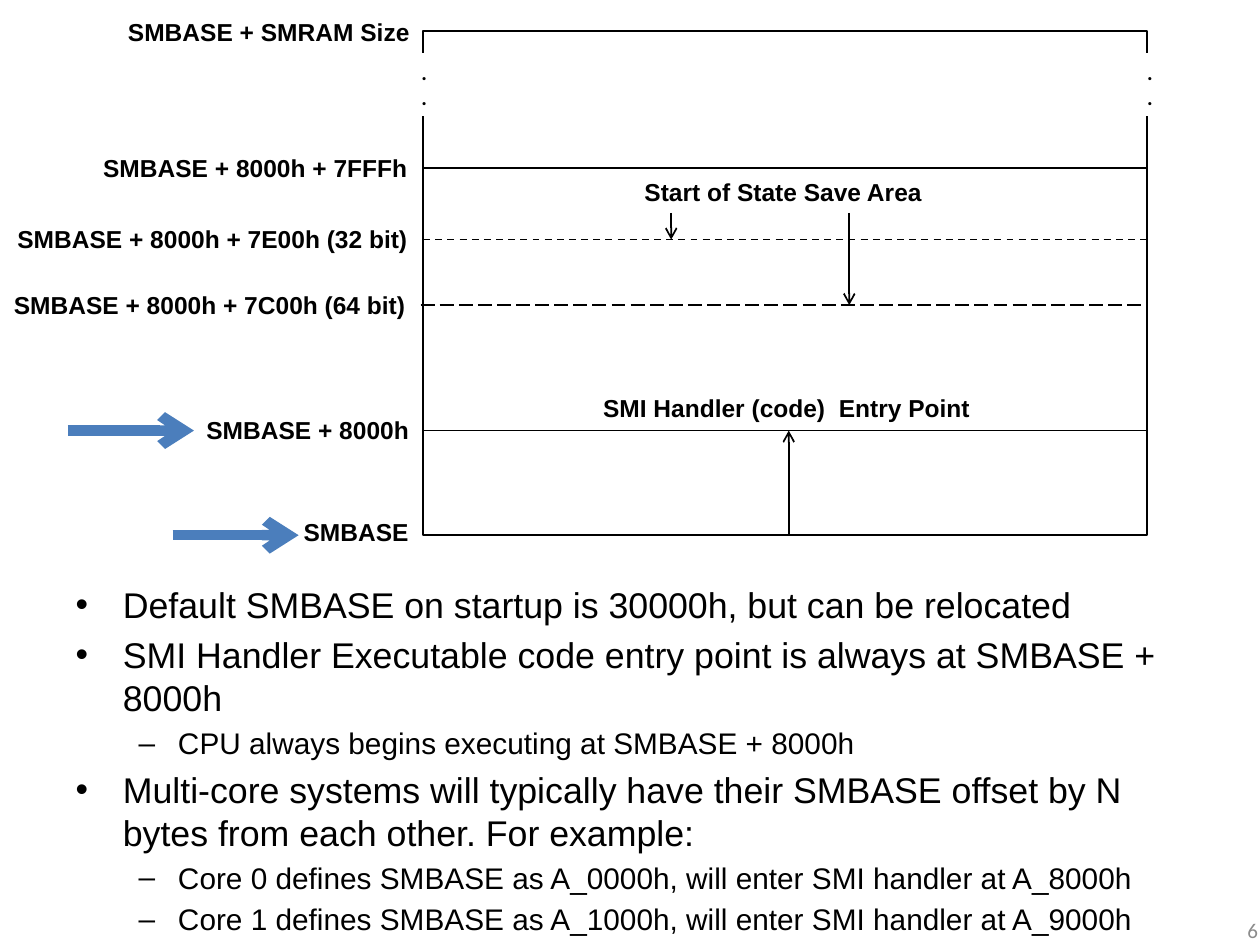
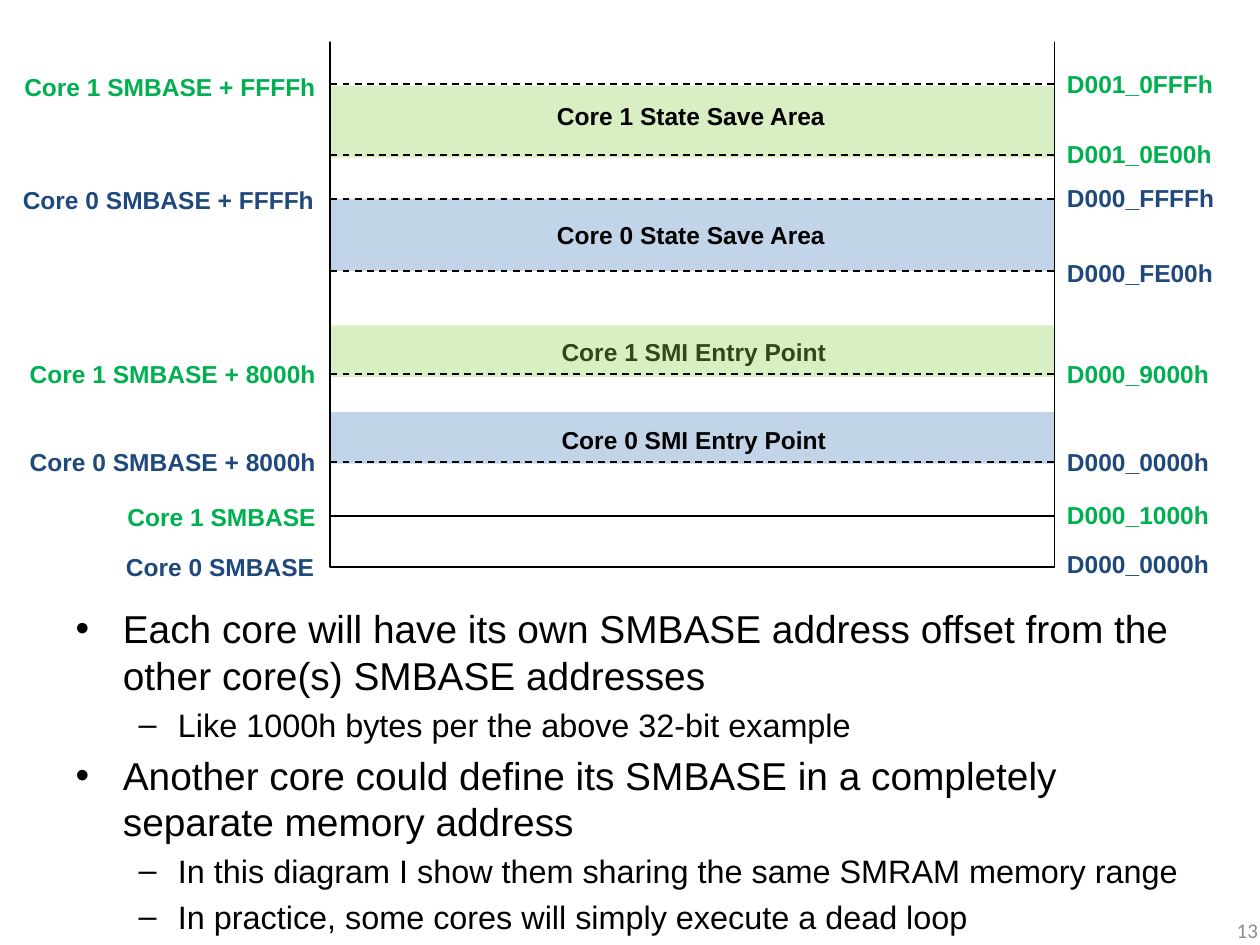
from typing import NamedTuple

from lxml.etree import SubElement
from pptx import Presentation
from pptx.dml.color import RGBColor
from pptx.enum.dml import MSO_LINE_DASH_STYLE as Dash
from pptx.enum.shapes import MSO_CONNECTOR as Connector, MSO_SHAPE as Shape
from pptx.enum.text import MSO_ANCHOR as Anchor, MSO_AUTO_SIZE as AutoSize, PP_ALIGN as Align
from pptx.oxml.ns import qn
from pptx.util import Cm, Pt

COLORS = {
    "ink": "000000", "paper": "FFFFFF", "page": "8C8C8C", "pointer": "4B7EBC",
    "core 0": "1F497D", "core 1": "00B050",
    "core 0 band": "4F81BD", "core 1 band": "92D050",
}
MAP_W = 14.6
CAPTION_W = 14.66
LABEL_H = 0.86


class Box(NamedTuple):
    x: float
    y: float
    w: float
    h: float


class Label(NamedTuple):
    text: str
    x: float
    y: float
    w: float
    color: str = "ink"


class Caption(NamedTuple):
    text: str
    x: float
    y: float


class Line(NamedTuple):
    x1: float
    y1: float
    x2: float
    y2: float
    dash: Dash | None = None
    arrow: bool = False
    color: str = "ink"
    width: float = 1


class Band(NamedTuple):
    y: float
    h: float
    color: str


class Bullet(NamedTuple):
    text: str
    level: int = 0


def rgb(name: str) -> RGBColor:
    return RGBColor.from_string(COLORS[name])


def cm_box(box: Box) -> list[Cm]:
    return [Cm(v) for v in box]


def add_run(p, text: str, size: float, color: str = "ink", bold: bool = False,
            font: str = "Arial") -> None:
    r = p.add_run()
    r.text = text
    r.font.name, r.font.size, r.font.bold = font, Pt(size), bold
    r.font.color.rgb = rgb(color)


def add_text(s, text: str, box: Box, align: Align, wrap: bool, color: str = "ink") -> None:
    tf = s.shapes.add_textbox(*cm_box(box)).text_frame
    tf.word_wrap = wrap
    p = tf.paragraphs[0]
    p.alignment = align
    add_run(p, text, 14, color, bold=True)


def add_label(s, label: Label) -> None:
    box = Box(label.x, label.y, label.w, LABEL_H)
    add_text(s, label.text, box, Align.LEFT, False, label.color)


def add_caption(s, caption: Caption) -> None:
    box = Box(caption.x, caption.y, CAPTION_W, LABEL_H)
    add_text(s, caption.text, box, Align.CENTER, True)


def add_rect(s, box: Box, fill: str | None = None, alpha: int = 100, outline: bool = False):
    sp = s.shapes.add_shape(Shape.RECTANGLE, *cm_box(box))
    sp.shadow.inherit = False
    if fill:
        sp.fill.solid()
        sp.fill.fore_color.rgb = rgb(fill)
        if alpha < 100:
            srgb = sp.fill._xPr.find(f".//{qn('a:srgbClr')}")
            SubElement(srgb, qn("a:alpha"), val=str(alpha * 1000))
    else:
        sp.fill.background()
    if outline:
        sp.line.color.rgb = rgb("ink")
        sp.line.width = Pt(1)
    else:
        sp.line.fill.background()
    return sp


def add_line(s, line: Line) -> None:
    ends = [Cm(v) for v in line[:4]]
    cxn = s.shapes.add_connector(Connector.STRAIGHT, *ends)
    cxn.line.color.rgb = rgb(line.color)
    cxn.line.width = Pt(line.width)
    if line.dash:
        cxn.line.dash_style = line.dash
    if line.arrow:
        SubElement(cxn.line._get_or_add_ln(), qn("a:tailEnd"), type="arrow")
    SubElement(cxn._element.spPr, qn("a:effectLst"))


def add_gap_dots(s, x: float) -> None:
    """Break a side of the memory map with two stacked dots."""
    tf = add_rect(s, Box(x, 1.07, 0.64, 1.27), "paper").text_frame
    tf.word_wrap = False
    for p in (tf.paragraphs[0], tf.add_paragraph()):
        p.alignment = Align.CENTER
        add_run(p, ".", 12, bold=True, font="Calibri")


def add_body(s, box: Box, size: float, sub_size: float, bullets: list[Bullet]) -> None:
    body = s.placeholders[1]
    body.left, body.top, body.width, body.height = cm_box(box)
    tf = body.text_frame
    tf.auto_size = AutoSize.NONE
    for i, bullet in enumerate(bullets):
        p = tf.add_paragraph() if i else tf.paragraphs[0]
        p.level = bullet.level
        add_run(p, bullet.text, sub_size if bullet.level else size)


def add_page_number(s, number: int) -> None:
    tf = s.shapes.add_textbox(*cm_box(Box(19.69, 18.24, 5.92, 1.02))).text_frame
    tf.word_wrap = True
    tf.vertical_anchor = Anchor.MIDDLE
    p = tf.paragraphs[0]
    p.alignment = Align.RIGHT
    add_run(p, str(number), 12, "page", font="Calibri")


def new_slide(prs):
    s = prs.slides.add_slide(prs.slide_layouts[1])
    title = s.shapes.title._element
    title.getparent().remove(title)
    return s


def build_smram_layout(prs) -> None:
    s = new_slide(prs)
    left, top, bottom, entry = 8.53, 0.63, 10.79, 8.68
    save_32, save_64, arrow_top = 4.83, 6.15, 4.29
    right = left + MAP_W
    add_body(s, Box(1.27, 11.63, 22.86, 7.42), 20.4, 17, [
        Bullet("Default SMBASE on startup is 30000h, but can be relocated"),
        Bullet("SMI Handler Executable code entry point is always at SMBASE + 8000h"),
        Bullet("CPU always begins executing at SMBASE + 8000h", 1),
        Bullet("Multi-core systems will typically have their SMBASE offset by N bytes "
               "from each other. For example:"),
        Bullet("Core 0 defines SMBASE as A_0000h, will enter SMI handler at A_8000h", 1),
        Bullet("Core 1 defines SMBASE as A_1000h, will enter SMI handler at A_9000h", 1),
    ])
    add_rect(s, Box(left, top, MAP_W, bottom - top), outline=True)
    for x in (8.23, 22.86):
        add_gap_dots(s, x)
    for line in (
        Line(left, entry, right, entry),
        Line(left, 3.38, right, 3.38),
        Line(left, save_32, right, save_32, Dash.DASH),
        Line(left - 0.05, save_64, right - 0.05, save_64, Dash.LONG_DASH),
        Line(13.53, arrow_top, 13.53, save_32, arrow=True),
        Line(17.12, arrow_top, 17.12, save_64, arrow=True),
        Line(15.9, bottom, 15.9, entry, arrow=True),
        Line(3.48, bottom, 6.02, bottom, None, True, "pointer", 6),
        Line(1.37, entry, 3.91, entry, None, True, "pointer", 6),
    ):
        add_line(s, line)
    for label in (
        Label("SMBASE + SMRAM Size", 2.33, 0.21, 6.22),
        Label("SMBASE + 8000h + 7FFFh", 1.83, 2.97, 6.68),
        Label("SMBASE + 8000h + 7E00h (32 bit)", 0.1, 4.39, 8.41),
        Label("SMBASE + 8000h + 7C00h (64 bit)", 0.03, 5.72, 8.46),
        Label("SMBASE + 8000h", 3.91, 8.25, 4.62),
        Label("SMBASE", 5.87, 10.3, 2.64),
    ):
        add_label(s, label)
    add_caption(s, Caption("Start of State Save Area", 8.46, 3.45))
    add_caption(s, Caption("SMI Handler (code)  Entry Point", left, 7.8))
    add_page_number(s, 6)


def build_core_layout(prs) -> None:
    s = new_slide(prs)
    left = 6.66
    right = left + MAP_W
    # This caption lies under its translucent band
    add_caption(s, Caption("Core 1 SMI Entry Point", left, 6.66))
    for band in (
        Band(1.73, 1.45, "core 1 band"), Band(4.01, 1.45, "core 0 band"),
        Band(6.56, 1.04, "core 1 band"), Band(8.31, 1.04, "core 0 band"),
    ):
        add_rect(s, Box(left, band.y, MAP_W, band.h), band.color, alpha=34)
    add_body(s, Box(1.27, 12.07, 22.86, 6.78), 22.2, 18.5, [
        Bullet("Each core will have its own SMBASE address offset from the other "
               "core(s) SMBASE addresses"),
        Bullet("Like 1000h bytes per the above 32-bit example", 1),
        Bullet("Another core could define its SMBASE in a completely separate memory address"),
        Bullet("In this diagram I show them sharing the same SMRAM memory range", 1),
        Bullet("In practice, some cores will simply execute a dead loop", 1),
    ])
    add_rect(s, Box(left, 0.43, MAP_W, 11), outline=True)
    add_rect(s, Box(6.15, 0.2, 15.44, 0.64), "paper")  # leaves the map open at the top
    for y in (1.7, 3.12, 4.01, 5.46, 7.54, 9.32):
        add_line(s, Line(left, y, right, y, Dash.DASH))
    add_line(s, Line(left, 10.4, right, 10.4))
    for caption in (
        Caption("Core 1 State Save Area", 6.6, 1.91),
        Caption("Core 0 State Save Area", 6.6, 4.32),
        Caption("Core 0 SMI Entry Point", left, 8.44),
    ):
        add_caption(s, caption)
    for label in (
        Label("Core 1 SMBASE + FFFFh", 0.24, 1.32, 6.43, "core 1"),
        Label("Core 0 SMBASE + FFFFh", 0.21, 3.61, 6.43, "core 0"),
        Label("Core 1 SMBASE + 8000h", 0.35, 7.11, 6.3, "core 1"),
        Label("Core 0 SMBASE + 8000h", 0.35, 8.89, 6.3, "core 0"),
        Label("Core 1 SMBASE", 2.32, 10, 4.34, "core 1"),
        Label("Core 0 SMBASE", 2.29, 11, 4.34, "core 0"),
        Label("D001_0FFFh", right, 1.27, 3.45, "core 1"),
        Label("D001_0E00h", right, 2.67, 3.45, "core 1"),
        Label("D000_FFFFh", right, 3.56, 3.48, "core 0"),
        Label("D000_FE00h", right, 5.08, 3.48, "core 0"),
        Label("D000_9000h", right, 7.11, 3.38, "core 1"),
        Label("D000_0000h", right, 8.89, 3.38, "core 0"),
        Label("D000_1000h", right, 9.96, 3.38, "core 1"),
        Label("D000_0000h", right, 10.95, 3.38, "core 0"),
    ):
        add_label(s, label)
    add_page_number(s, 13)


def main() -> None:
    prs = Presentation()
    prs.slide_width, prs.slide_height = Cm(25.4), Cm(19.05)
    build_smram_layout(prs)
    build_core_layout(prs)
    prs.save("out.pptx")


if __name__ == "__main__":
    main()
